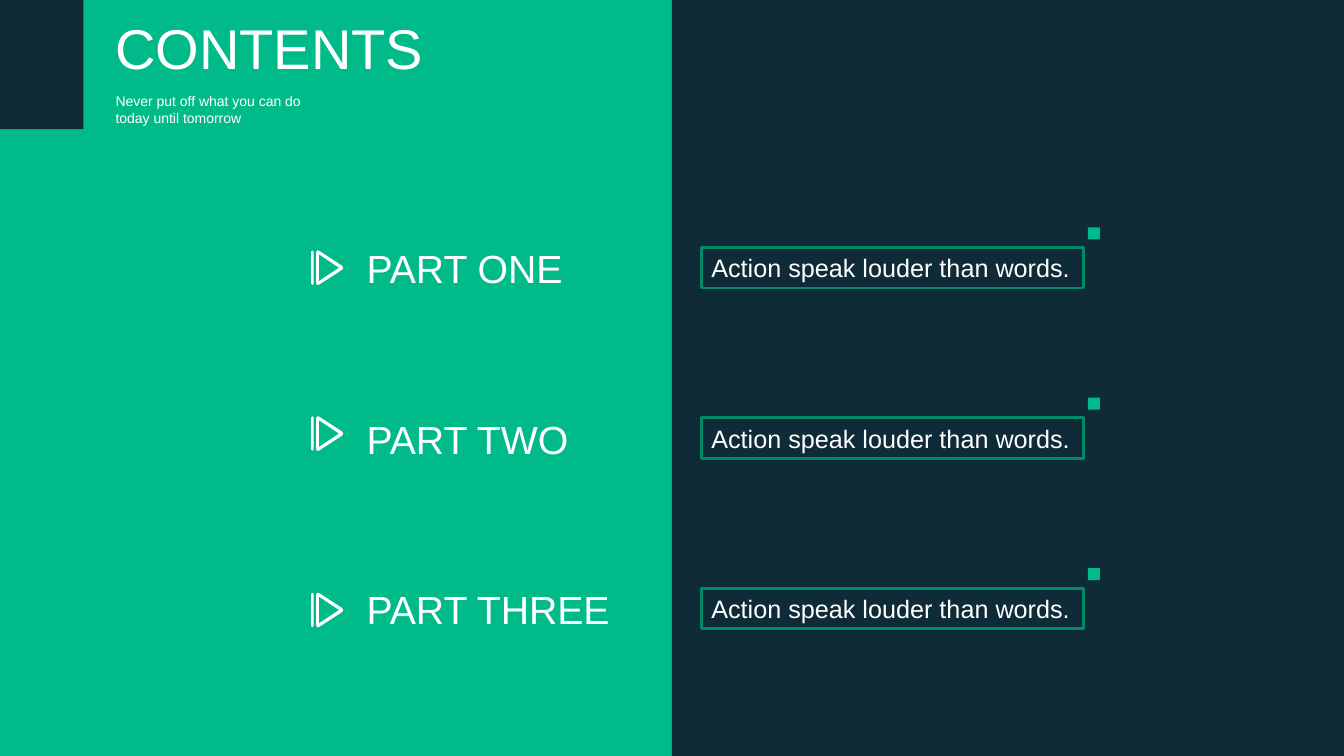
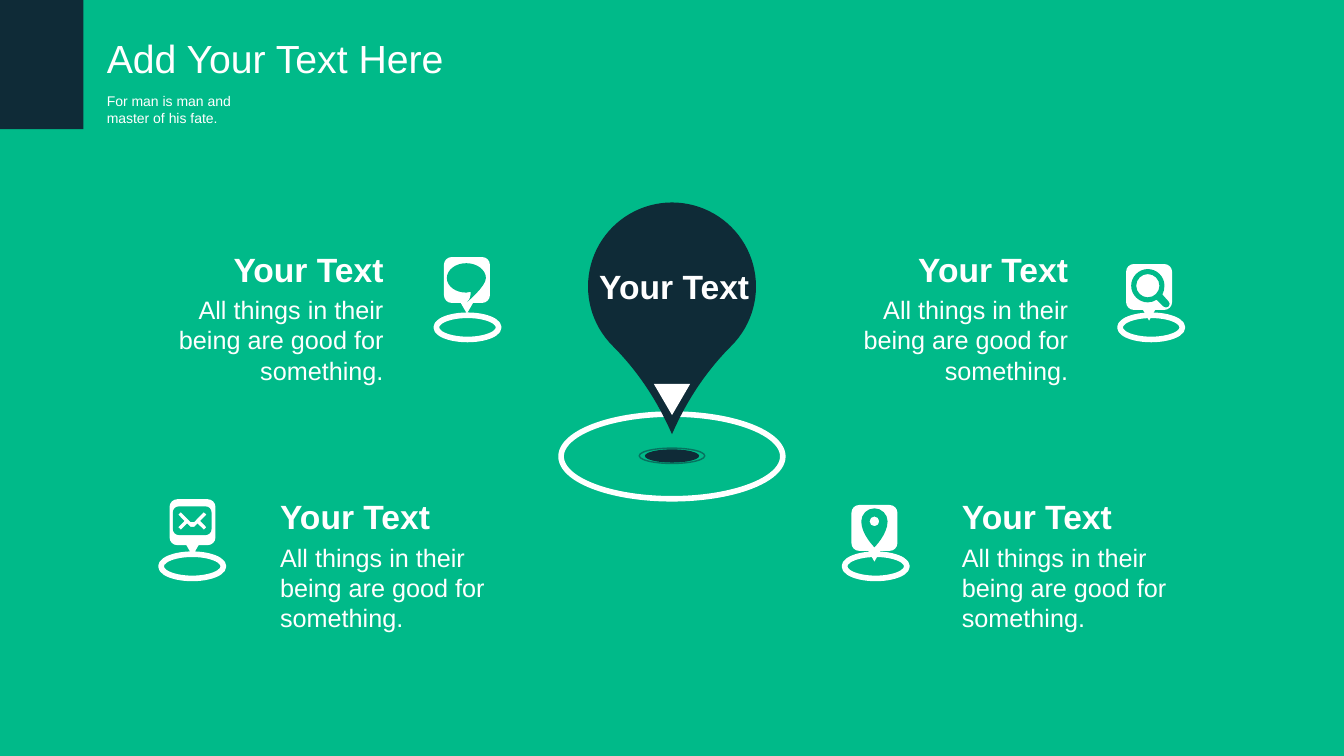
from lxml import etree
from pptx import Presentation
from pptx.dml.color import RGBColor
from pptx.enum.shapes import MSO_SHAPE as SHAPE
from pptx.enum.text import MSO_ANCHOR as ANCHOR, PP_ALIGN as ALIGN
from pptx.oxml.ns import qn
from pptx.util import Pt

COLORS = {"green": "00BA89", "navy": "0F2B37", "frame": "008A65", "white": "FFFFFF"}
FONT = "Arial"
WIDTH, HEIGHT = 960, 540


def rgb(name):
    return RGBColor.from_string(COLORS[name])


# Shared drawing helpers
def paint(shape, fill=None, line=None, weight=1):
    shape.shadow.inherit = False
    if fill:
        shape.fill.solid()
        shape.fill.fore_color.rgb = rgb(fill)
    else:
        shape.fill.background()
    if line:
        shape.line.color.rgb = rgb(line)
        shape.line.width = Pt(weight)
    else:
        shape.line.fill.background()
    return shape


def add_preset(slide, kind, box, **style):
    return paint(slide.shapes.add_shape(kind, *map(Pt, box)), **style)


def write(shape, text, size, bold=False, align=ALIGN.LEFT, wrap=True):
    frame = shape.text_frame
    frame.word_wrap = wrap
    paragraph = frame.paragraphs[0]
    paragraph.text = text
    paragraph.alignment = align
    font = paragraph.font
    font.name, font.size, font.bold = FONT, Pt(size), bold
    font.color.rgb = rgb("white")


def add_text(slide, box, text, size, **style):
    write(slide.shapes.add_textbox(*map(Pt, box)), text, size, **style)


# Outlines: a pair is a corner, six numbers are a Bezier curve
def vertices(contour):
    return [(Pt(step[i]), Pt(step[i + 1])) for step in contour for i in range(0, len(step), 2)]


def bend(outline, contours):
    """Turn the three segments drawn for each curve into one Bezier segment."""
    segments = iter(outline.element.findall(".//" + qn("a:lnTo")))
    for contour in contours:
        for step in contour[1:]:
            first = next(segments)
            if len(step) == 2:
                continue
            curve = etree.Element(qn("a:cubicBezTo"))
            first.addprevious(curve)
            for segment in (first, next(segments), next(segments)):
                curve.append(segment[0])
                segment.getparent().remove(segment)


def add_outline(slide, left, top, contours, fill):
    first, *others = map(vertices, contours)
    builder = slide.shapes.build_freeform(*first[0], scale=1.0)
    builder.add_line_segments(first[1:], close=True)
    for points in others:
        builder.move_to(*points[0])
        builder.add_line_segments(points[1:], close=True)
    outline = paint(builder.convert_to_shape(Pt(left), Pt(top)), fill=fill)
    bend(outline, contours)


def rounded(x, y, w, h, r, tail=()):
    """Rounded rectangle; tail holds extra corners along its bottom edge."""
    right, bottom, k = x + w, y + h, r * 0.45
    return [(x + r, y), (right - r, y), (right - k, y, right, y + k, right, y + r),
            (right, bottom - r), (right, bottom - k, right - k, bottom, right - r, bottom),
            *tail, (x + r, bottom), (x + k, bottom, x, bottom - k, x, bottom - r),
            (x, y + r), (x, y + k, x + k, y, x + r, y)]


def circle(cx, cy, r):
    k = r * 0.55
    return [(cx, cy - r), (cx + k, cy - r, cx + r, cy - k, cx + r, cy),
            (cx + r, cy + k, cx + k, cy + r, cx, cy + r),
            (cx - k, cy + r, cx - r, cy + k, cx - r, cy),
            (cx - r, cy - k, cx - k, cy - r, cx, cy - r)]


PLAY = [
    [(3.6, 1.9), (3.6, 23.4), (3.6, 25.4, 4.6, 25.4, 5.8, 24.7), (22.3, 14),
     (23.1, 13.4, 23.1, 11.9, 22.3, 11.3), (5.8, 0.6), (4.6, -0.1, 3.6, -0.1, 3.6, 1.9)],
    [(20, 12.65), (5.5, 22.3), (5.5, 3)],
    rounded(0, 0.4, 1.9, 24.5, 0.9),
]
PIN = [rounded(0, 0, 32.8, 32.8, 5.5, tail=[(20.8, 32.8), (16.4, 40.4), (12, 32.8)])]
BUBBLE = [[(30, 15), (30, 9.2, 23.7, 4.4, 16, 4.4), (8.3, 4.4, 2.1, 9.2, 2.1, 15),
           (2.1, 20.8, 8.3, 25.4, 16, 25.4), (19.1, 24.8),
           (19.1, 27.5, 19, 30.2, 16.5, 32.2), (16.5, 32.2, 30, 21, 30, 15)]]
MAGNIFIER = [
    [(30.2, 26.6), (25.9, 21.8), (26.8, 20.1, 27.4, 17.8, 27.4, 15.5),
     (27.4, 9, 22, 3.6, 15.5, 3.6), (9, 3.6, 3.6, 9, 3.6, 15.5),
     (3.6, 22, 9, 27.4, 15.5, 27.4), (17.8, 27.4, 20, 26.7, 21.8, 25.5),
     (26.6, 30.3), (27.7, 31.3, 29.4, 31.3, 30.4, 30.3), (31.4, 29.2, 31.3, 27.6, 30.2, 26.6)],
    circle(15.5, 15.5, 8.3),
]
PLACE = [
    [(25.8, 11.7), (25.8, 6.6, 21.6, 2.4, 16.4, 2.4), (11.2, 2.4, 7, 6.6, 7, 11.7),
     (7, 21, 16.4, 30.2, 16.4, 30.2), (16.4, 30.2, 25.8, 21, 25.8, 11.7)],
    circle(16.4, 11.7, 3.5),
]
ENVELOPE = [
    rounded(2.4, 5.1, 27.6, 20.5, 4.3),
    [(26.4, 20), (24.5, 21.8), (20, 17.4), (17.6, 19.8), (15, 19.8), (12.6, 17.4),
     (8.1, 21.8), (6.2, 20), (10.6, 15.5), (6.2, 11), (8.1, 9.2), (15, 16.2),
     (17.6, 16.2), (24.5, 9.2), (26.4, 11), (22, 15.5)],
]


# Shared slide parts
def new_slide(deck):
    slide = deck.slides.add_slide(deck.slide_layouts[6])
    slide.background.fill.solid()
    slide.background.fill.fore_color.rgb = rgb("green")
    return slide


def add_header(slide, title_box, title, size, motto, motto_width):
    add_preset(slide, SHAPE.RECTANGLE, (0, 0, 59.5, 92.3), fill="navy")
    add_text(slide, title_box, title, size)
    add_text(slide, (title_box[0], 62.6, motto_width, 31.7), motto, 10)


# Contents slide
def add_part(slide, left, top, name, name_width, icon_drop):
    add_text(slide, (left + 32.6, top, name_width, 41), name, 28)
    saying = add_preset(slide, SHAPE.RECTANGLE, (left + 278.8, top + 5.6, 273, 29),
                        line="frame", weight=2)
    saying.text_frame.vertical_anchor = ANCHOR.MIDDLE
    write(saying, "Action speak louder than words.", 18, wrap=False)
    add_preset(slide, SHAPE.RECTANGLE, (left + 554.8, top - 8.8, 8.6, 8.6), fill="green")
    add_outline(slide, left, top + icon_drop, PLAY, "white")


def contents_slide(deck):
    slide = new_slide(deck)
    add_preset(slide, SHAPE.RECTANGLE, (WIDTH / 2, 0, WIDTH / 2, HEIGHT), fill="navy")
    add_header(slide, (75.5, 5.8, 354, 55.4), "CONTENTS", 40,
               "Never put off what you can do today until tomorrow", 152)
    parts = [("PART ONE", 162, 7.4), ("PART TWO", 162, 4.2), ("PART THREE", 231, 8.5)]
    for row, part in enumerate(parts):
        add_part(slide, 222.2, 171.2 + row * 121.7, *part)


# Location slide
def add_landmark(slide, left, top):
    add_preset(slide, SHAPE.OVAL, (left, top + 151.2, 158.4, 60.5), line="white", weight=4)
    drop = add_preset(slide, SHAPE.TEAR, (left + 19.2, top, 120, 120), fill="navy")
    drop.rotation = 135
    drop.adjustments[0] = 1.244
    add_preset(slide, SHAPE.OVAL, (left + 59.8, top + 176.4, 38.8, 9.4), fill="navy")
    halo = add_preset(slide, SHAPE.OVAL, (left + 55.8, top + 175.5, 46.8, 11), line="navy")
    tint = halo.element.find(".//" + qn("a:ln")).find(".//" + qn("a:srgbClr"))
    etree.SubElement(tint, qn("a:alpha"), val="50000")
    add_text(slide, (left + 10.3, top + 41.8, 141, 36), "Your Text", 24,
             bold=True, align=ALIGN.CENTER)
    tip = add_preset(slide, SHAPE.ISOSCELES_TRIANGLE,
                     (left + 66.2, top + 129.6, 26, 22.3), fill="white")
    tip.rotation = 180


def add_marker(slide, ring, pin, icon):
    add_preset(slide, SHAPE.OVAL, (*ring, 44.6, 17.3), line="white", weight=4)
    add_outline(slide, *pin, PIN, "white")
    add_outline(slide, *pin, icon, "green")


def add_caption(slide, left, top, align):
    heading_left = left + 47 if align == ALIGN.RIGHT else left
    add_text(slide, (heading_left, top, 141, 36), "Your Text", 24, bold=True, align=align)
    add_text(slide, (left, top + 32.8, 188, 72.7),
             "All things in their being are good for something.", 18, align=align)


def location_slide(deck):
    slide = new_slide(deck)
    add_header(slide, (69.2, 20.9, 257, 41), "Add Your Text Here", 28,
               "For man is man and master of his fate.", 124)
    add_landmark(slide, 400.8, 144.6)
    upper, lower = 225.2, 395.9
    markers = [((311.6, upper), (317.1, 183.6), BUBBLE),
               ((800, upper), (804.4, 188.6), MAGNIFIER),
               ((115, lower), (121.1, 356.6), ENVELOPE),
               ((603.2, lower), (608.2, 360.7), PLACE)]
    for marker in markers:
        add_marker(slide, *marker)
    captions = [(93, 174, ALIGN.RIGHT), (582, 174, ALIGN.RIGHT),
                (193, 350.8, ALIGN.LEFT), (680, 350.8, ALIGN.LEFT)]
    for caption in captions:
        add_caption(slide, *caption)


def main():
    deck = Presentation()
    deck.slide_width, deck.slide_height = Pt(WIDTH), Pt(HEIGHT)
    contents_slide(deck)
    location_slide(deck)
    deck.save("out.pptx")


if __name__ == "__main__":
    main()
